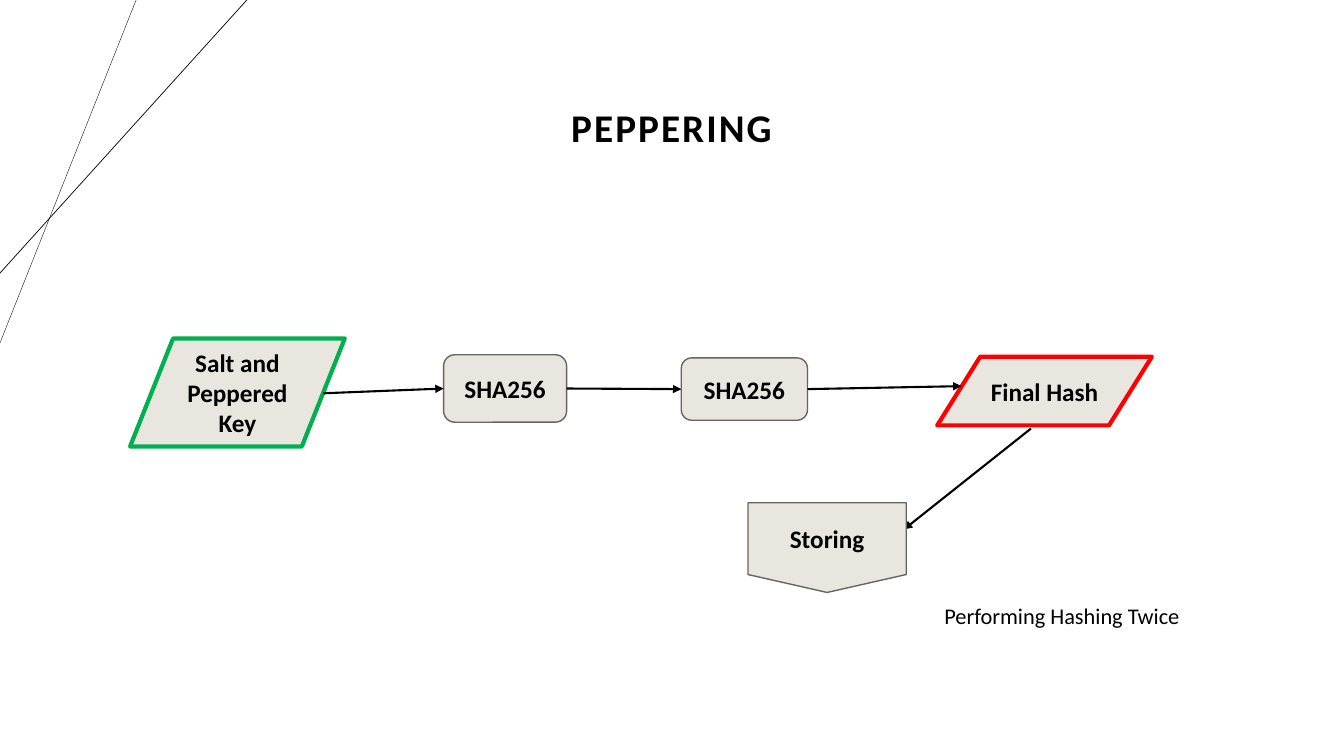
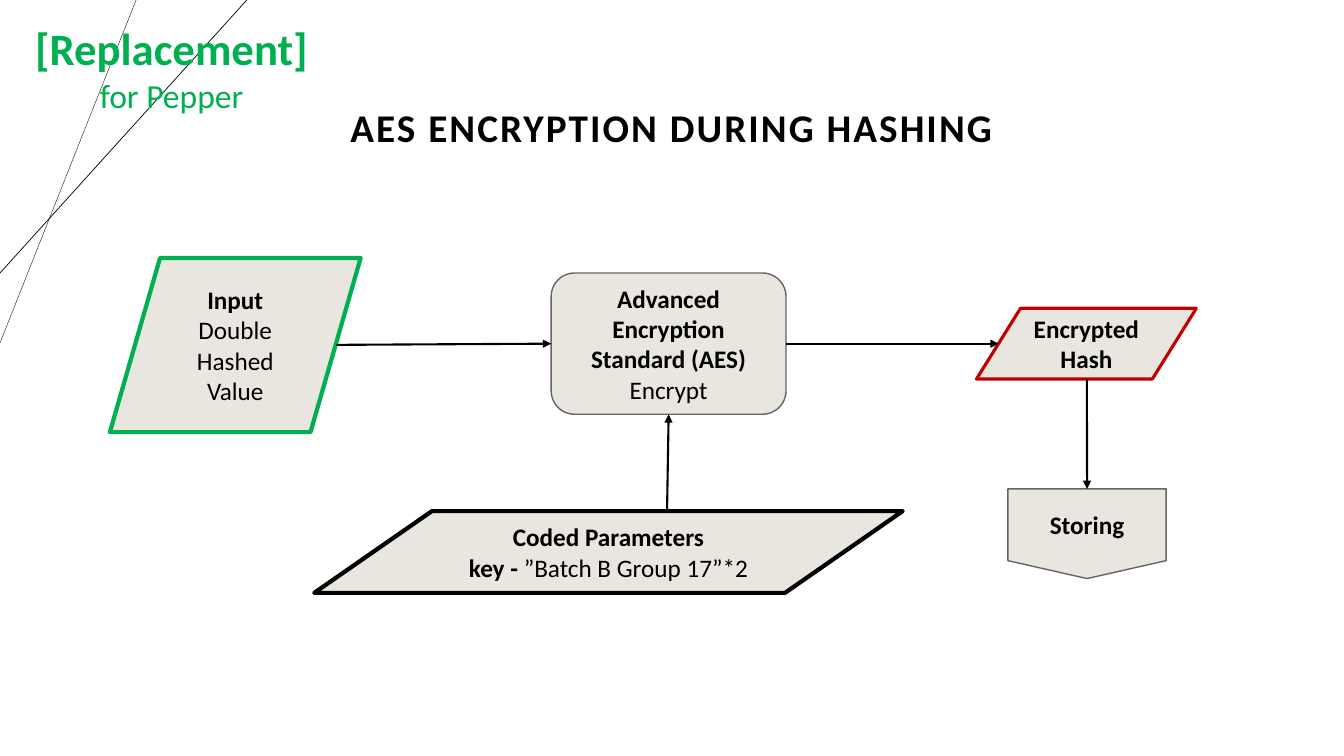
import pptx
import pptx.util
import pptx.dml.color
import pptx.enum.shapes
import pptx.enum.text
import lxml.etree
from dataclasses import dataclass
from pptx.util import Cm

RGB = pptx.dml.color.RGBColor.from_string
SHAPE = pptx.enum.shapes.MSO_SHAPE
ALIGN = pptx.enum.text.PP_ALIGN
ANCHOR = pptx.enum.text.MSO_ANCHOR
A = "{http://schemas.openxmlformats.org/drawingml/2006/main}"
TOP, LEFT, BOTTOM, RIGHT = range(4)


@dataclass(frozen=True)
class Theme:
    font: str = "Calibri"
    ink: str = "000000"
    fill: str = "E9E6DF"
    outline: str = "666562"
    green: str = "00B050"
    red: str = "FF0000"
    dark_red: str = "C00000"
    title: int = 28
    body: int = 18
    caption: int = 16
    badge: int = 32
    badge_sub: int = 24


class Deck:
    def __init__(self, theme):
        self.theme = theme
        self.prs = pptx.Presentation()
        self.prs.slide_width, self.prs.slide_height = Cm(33.87), Cm(19.05)
        self.s = None

    def slide(self, title):
        t = self.theme
        self.s = self.prs.slides.add_slide(self.prs.slide_layouts[6])
        self.line((3.43, 0), (0, 8.64), 0.25)
        self.line((6.22, 0), (0, 6.88), 0.5)
        tf = self.text((5.23, 2.49, 23.39, 1.57), [[(title, t.title, True)]])
        tf.vertical_anchor = ANCHOR.MIDDLE
        p = tf.paragraphs[0]
        p.line_spacing = 0.9
        p.runs[0]._r.get_or_add_rPr().set("spc", "150")

    def style(self, font, size, bold, color):
        font.name, font.size, font.bold = self.theme.font, pptx.util.Pt(size), bold
        font.color.rgb = RGB(color)

    def fill_text(self, tf, paragraphs, color, align):
        tf.word_wrap = True
        for i, runs in enumerate(paragraphs):
            p = tf.add_paragraph() if i else tf.paragraphs[0]
            p.alignment = align
            for text, size, bold in runs:
                r = p.add_run()
                r.text = text
                if len(runs) > 1:
                    self.style(r.font, size, bold, color)
            if len(runs) == 1:
                self.style(p.font, size, bold, color)

    def text(self, box, paragraphs, color=None, align=ALIGN.CENTER):
        tf = self.s.shapes.add_textbox(*map(Cm, box)).text_frame
        self.fill_text(tf, paragraphs, color or self.theme.ink, align)
        return tf

    def node(self, kind, box, paragraphs, color=None, width=1):
        sp = self.s.shapes.add_shape(kind, *map(Cm, box))
        sp.shadow.inherit = False
        sp.fill.solid()
        sp.fill.fore_color.rgb = RGB(self.theme.fill)
        sp.line.color.rgb = RGB(color or self.theme.outline)
        sp.line.width = pptx.util.Pt(width)
        sp.text_frame.vertical_anchor = ANCHOR.MIDDLE
        self.fill_text(sp.text_frame, paragraphs, self.theme.ink, ALIGN.CENTER)
        return sp

    def data(self, box, paragraphs, color, width=3):
        return self.node(SHAPE.FLOWCHART_DATA, box, paragraphs, color, width)

    def process(self, box, paragraphs):
        return self.node(SHAPE.FLOWCHART_ALTERNATE_PROCESS, box, paragraphs)

    def storing(self, left, top):
        return self.node(SHAPE.FLOWCHART_OFFPAGE_CONNECTOR, (left, top, 3.99, 2.26),
                         [self.strong("Storing")])

    def strong(self, text):
        return [(text, self.theme.body, True)]

    def plain(self, text):
        return [(text, self.theme.body, False)]

    def line(self, start, end, width):
        c = self.s.shapes.add_connector(pptx.enum.shapes.MSO_CONNECTOR.STRAIGHT,
                                        *map(Cm, (*start, *end)))
        c.line.color.rgb = RGB(self.theme.ink)
        c.line.width = pptx.util.Pt(width)
        lxml.etree.SubElement(c._element.spPr, A + "effectLst")
        return c

    def arrow(self, start, end):
        joined = [not isinstance(e[0], (int, float)) for e in (start, end)]
        c = self.line((0, 0) if joined[0] else start, (0, 0) if joined[1] else end, 1.5)
        lxml.etree.SubElement(c._element.spPr.find(A + "ln"), A + "tailEnd", type="triangle")
        if joined[0]:
            c.begin_connect(*start)
        if joined[1]:
            c.end_connect(*end)


def peppering(d):
    t = d.theme
    d.slide("PEPPERING")
    d.data((3.28, 8.53, 5.41, 2.72), [d.strong("Salt and Peppered Key")], t.green)
    first = d.process((11.18, 8.94, 3.1, 1.7), [d.strong("SHA256")])
    second = d.process((17.17, 9.02, 3.18, 1.57), [d.strong("SHA256")])
    d.data((23.62, 8.99, 5.41, 1.73), [d.strong("Final Hash")], t.red)
    d.arrow((8.15, 9.91), (first, LEFT))
    d.arrow((first, RIGHT), (second, LEFT))
    d.arrow((second, RIGHT), (24.23, 9.73))
    d.arrow((25.98, 10.8), (22.78, 13.34))
    d.storing(18.85, 12.67)
    d.text((23.55, 15.04, 8.69, 0.94),
           [[("Performing Hashing Twice", t.caption, False)]], align=ALIGN.LEFT)


def aes_encryption(d):
    t = d.theme
    d.slide("AES ENCRYPTION DURING HASHING")
    d.data((2.77, 6.5, 6.32, 4.39),
           [d.strong("Input"), d.plain("Double Hashed Value")], t.green)
    aes = d.process((13.89, 6.88, 5.92, 3.56),
                    [d.strong("Advanced Encryption Standard (AES)"), d.plain("Encrypt")])
    d.data((24.61, 7.77, 5.54, 1.78), [d.strong("Encrypted Hash")], t.dark_red, 2.25)
    store = d.storing(25.4, 12.32)
    d.arrow((8.48, 8.69), (aes, LEFT))
    d.arrow((16.81, 12.88), (aes, BOTTOM))
    d.arrow((aes, RIGHT), (25.17, 8.66))
    d.arrow((27.39, 9.55), (store, TOP))
    d.text((0.3, 0.41, 8.05, 2.64),
           [[("[Replacement] ", t.badge, True), ("for Pepper", t.badge_sub, False)]], t.green)
    d.data((7.92, 12.88, 14.83, 2.06),
           [d.strong("Coded Parameters"),
            d.strong("key - ") + d.plain("”Batch B Group 17”*2")], t.ink)


def main():
    d = Deck(Theme())
    peppering(d)
    aes_encryption(d)
    d.prs.save("out.pptx")


if __name__ == "__main__":
    main()
